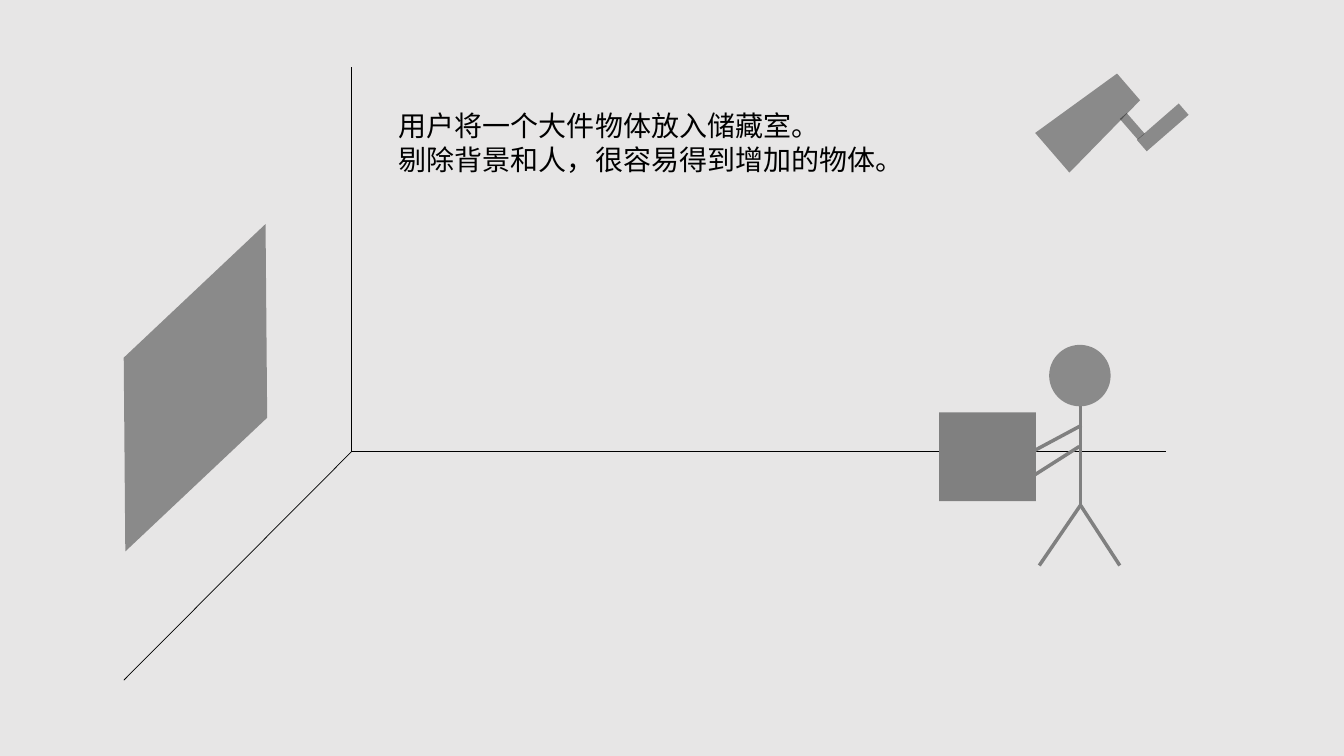
"""Build the storeroom slide: a room corner, a camera and a person with a box."""
from lxml import etree
from pptx import Presentation
from pptx import util as u
from pptx.dml import color
from pptx.enum import shapes, text
from pptx.oxml import ns

FONT = "Noto Sans CJK SC"
HUES = {"back": "E7E6E6", "ink": "000000", "body": "808080"}
KIND = shapes.MSO_SHAPE
LINES = ["用户将一个大件物体放入储藏室。", "剔除背景和人，很容易得到增加的物体。"]
NOTE = (9.8, 2.62, 13.34, 2.82)

CORNER = (8.86, 11.38)
EDGES = [(8.86, 1.7), (29.39, 11.38), (3.12, 17.14)]

PARTS = [
    (KIND.TRAPEZOID, (26.82, 1.75, 1.32, 2.54), 49.2, 0.163),
    (KIND.RECTANGLE, (28.6, 3.02, 1.4, 0.38), 139, None),
    (KIND.RECTANGLE, (28.19, 3.07, 0.69, 0.23), 49, None),
    (KIND.PARALLELOGRAM, (0.81, 7.98, 8.23, 3.58), 136.7, 0.927),
]

HEAD = (26.44, 8.69, 1.55, 1.55)
NECK, HIP = (27.23, 10.24), (27.23, 12.73)
LIMBS = [
    (NECK, HIP),
    (HIP, (26.19, 14.25)),
    (HIP, (28.22, 14.25)),
    ((27.25, 10.72), (25.55, 11.63)),
    ((27.2, 11.25), (25.88, 12.09)),
]
BOX = (23.67, 10.39, 2.44, 2.24)


def cm(nums):
    return [u.Cm(n) for n in nums]


def rgb(name):
    return color.RGBColor.from_string(HUES[name])


def draw(home, kind, area, hue, turn=0, adj=None, alpha=None):
    shape = home.add_shape(kind, *cm(area))
    shape.shadow.inherit = False
    shape.rotation = turn
    if adj is not None:
        shape.adjustments[0] = adj
    shape.fill.solid()
    shape.fill.fore_color.rgb = rgb(hue)
    shape.line.fill.background()
    if alpha:
        tone = shape.element.spPr.find(".//" + ns.qn("a:srgbClr"))
        etree.SubElement(tone, ns.qn("a:alpha"), val=str(alpha * 1000))


def join(home, start, end, hue, width):
    line = home.add_connector(shapes.MSO_CONNECTOR.STRAIGHT, *cm(start + end))
    line.line.color.rgb = rgb(hue)
    line.line.width = u.Pt(width)
    etree.SubElement(line.element.spPr, ns.qn("a:effectLst"))


def write(home):
    frame = home.add_textbox(*cm(NOTE)).text_frame
    frame.word_wrap = False
    frame.auto_size = text.MSO_AUTO_SIZE.SHAPE_TO_FIT_TEXT
    frame.text = "\n".join(LINES)
    for para in frame.paragraphs:
        para.font.size = u.Pt(20)
        para.font.name = FONT
        para.font.color.rgb = rgb("ink")
        for run in para.runs:
            props = run.font._element
            etree.SubElement(props, ns.qn("a:ea"), typeface=FONT)


def main():
    deck = Presentation()
    deck.slide_width, deck.slide_height = cm((33.87, 19.05))
    slide = deck.slides.add_slide(deck.slide_layouts[6])
    slide.background.fill.solid()
    slide.background.fill.fore_color.rgb = rgb("back")
    stage = slide.shapes

    room = stage.add_group_shape().shapes
    for end in EDGES:
        join(room, CORNER, end, "ink", 0.5)

    for kind, area, turn, adj in PARTS:
        draw(stage, kind, area, "ink", turn, adj, 40)

    man = stage.add_group_shape().shapes
    draw(man, KIND.OVAL, HEAD, "ink", alpha=40)
    for start, end in LIMBS:
        join(man, start, end, "body", 2.5)
    draw(man, KIND.RECTANGLE, BOX, "body")

    write(stage)
    deck.save("out.pptx")


if __name__ == "__main__":
    main()
